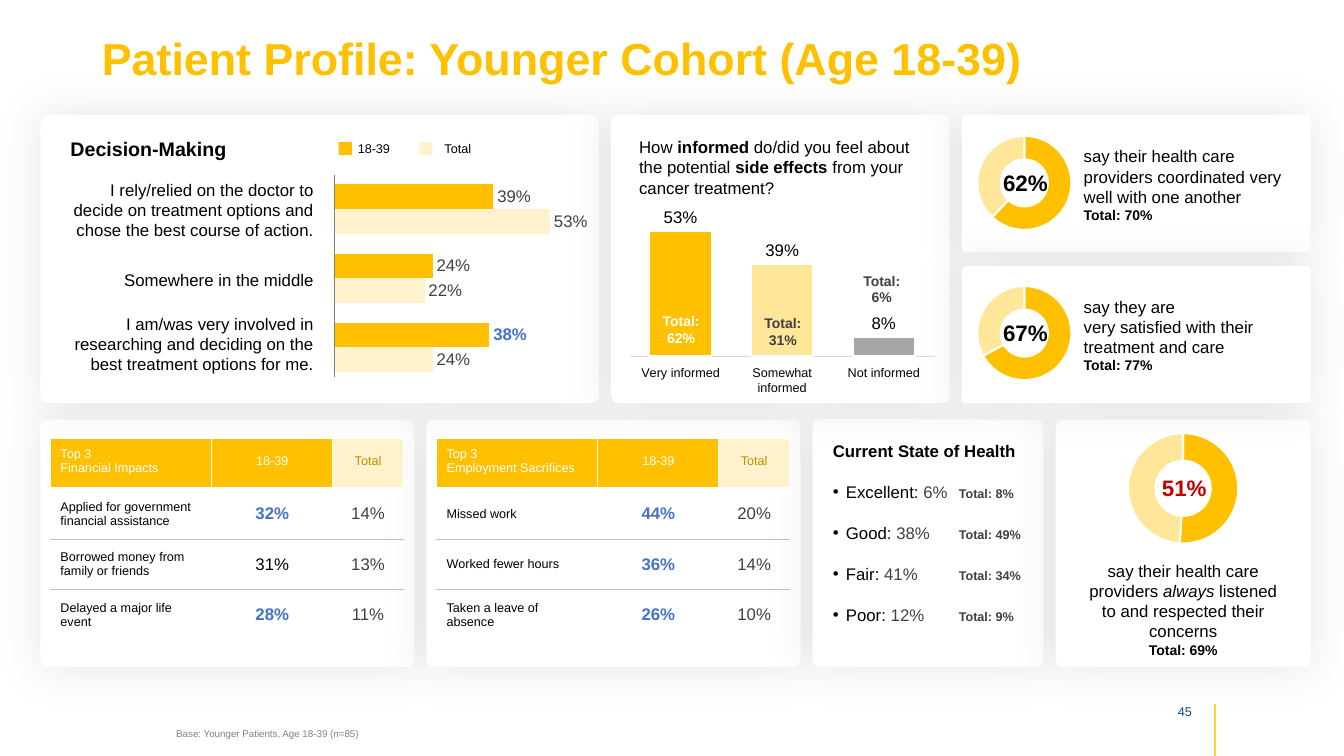
from pptx import Presentation
from pptx.chart.data import CategoryChartData
from pptx.dml.color import RGBColor
from pptx.enum.chart import XL_CHART_TYPE, XL_LABEL_POSITION, XL_TICK_LABEL_POSITION, XL_TICK_MARK
from pptx.enum.shapes import MSO_CONNECTOR, MSO_SHAPE
from pptx.enum.text import MSO_ANCHOR, MSO_AUTO_SIZE, PP_ALIGN
from pptx.oxml import parse_xml
from pptx.oxml.ns import nsdecls, qn
from pptx.util import Inches, Pt

LEFT, MID, RIGHT = PP_ALIGN.LEFT, PP_ALIGN.CENTER, PP_ALIGN.RIGHT
TOP, HALF = MSO_ANCHOR.TOP, MSO_ANCHOR.MIDDLE
FIXED = MSO_AUTO_SIZE.NONE
ROUND, RECT = MSO_SHAPE.ROUNDED_RECTANGLE, MSO_SHAPE.RECTANGLE
LINE = MSO_CONNECTOR.STRAIGHT
BAR, COLUMN, RING = XL_CHART_TYPE.BAR_CLUSTERED, XL_CHART_TYPE.COLUMN_CLUSTERED, XL_CHART_TYPE.DOUGHNUT
OUT, NO_TICK, LOW = XL_LABEL_POSITION.OUTSIDE_END, XL_TICK_MARK.NONE, XL_TICK_LABEL_POSITION.LOW
FONT = "Arial"
GOLD, SAND, CREAM = "FFC000", "FFE699", "FFF2CC"
BLACK, WHITE, DARK, BLUE, GREY = "000000", "FFFFFF", "404040", "4472C4", "808080"
CELL = 0.1
GAP = 1.2


def grid(*spans):
    return [Inches(round(span * CELL, 3)) for span in spans]


def tint(code):
    return RGBColor.from_string(code)


def style(font, size=12, color=BLACK, bold=False, ital=False):
    font.name, font.size, font.bold, font.italic = FONT, Pt(size), bold, ital
    font.color.rgb = tint(color)


def write(para, words, align=LEFT, space=None, lead=None, **look):
    para.alignment = align
    if space is not None:
        para.space_before = Pt(space)
    if lead:
        para.line_spacing = lead
    for part in [words] if isinstance(words, str) else words:
        part, extra = (part, {}) if isinstance(part, str) else part
        for turn, bit in enumerate(part.split("\n")):
            if turn:
                para.add_line_break()
            run = para.add_run()
            run.text = bit
            style(run.font, **{**look, **extra})


def label(slide, area, *paras, anchor=TOP, wrap=True, **look):
    frame = slide.shapes.add_textbox(*grid(*area)).text_frame
    frame.word_wrap, frame.vertical_anchor = wrap, anchor
    for turn, words in enumerate(paras):
        write(frame.add_paragraph() if turn else frame.paragraphs[0], words, **look)


def block(slide, kind, area, fill):
    shape = slide.shapes.add_shape(kind, *grid(*area))
    shape.shadow.inherit = False
    shape.fill.solid()
    shape.fill.fore_color.rgb = tint(fill)
    shape.line.fill.background()
    return shape


def card(slide, *area):
    shape = block(slide, ROUND, area, WHITE)
    shape.adjustments[0] = 0.03
    shape._element.spPr.find(qn("a:effectLst")).append(parse_xml(
        f'<a:outerShdw {nsdecls("a")} blurRad="{Pt(35)}" dist="0" algn="ctr" rotWithShape="0">'
        '<a:srgbClr val="000000"><a:alpha val="10000"/></a:srgbClr></a:outerShdw>'))


def rule(slide, x, top, end, color, width):
    line = slide.shapes.add_connector(LINE, *grid(x, top, x, end))
    line.line.color.rgb, line.line.width = tint(color), Pt(width)
    line._element.spPr.append(parse_xml(f'<a:effectLst {nsdecls("a")}/>'))


def edge(cell, sides):
    props = cell._tc.get_or_add_tcPr()
    for turn, (side, color, width) in enumerate(sides):
        props.insert(turn, parse_xml(
            f'<a:ln{side} {nsdecls("a")} w="{Pt(width)}"><a:solidFill>'
            f'<a:srgbClr val="{color}"/></a:solidFill></a:ln{side}>'))


def table(slide, x, topic, rows):
    grille = slide.shapes.add_table(4, 3, *grid(x, 43.5, 35, 20)).table
    grille.first_row = grille.horz_banding = False
    for col, width in zip(grille.columns, grid(16, 12, 7)):
        col.width = width
    thin, soft = (WHITE, 1), ("BFBFBF", 0.5)
    for r, row in enumerate([(f"Top 3\n{topic}", "18-39", "Total"), *rows]):
        for c, words in enumerate(row):
            cell = grille.cell(r, c)
            cell.vertical_anchor = HALF
            cell.margin_top, cell.margin_bottom = grid(0, 0 if r else 0.5)
            low = soft if r in (1, 2) else (WHITE, 1 if r else 3)
            edge(cell, [("L", *thin), ("R", *thin), ("T", *(soft if r > 1 else thin)), ("B", *low)])
            if r:
                cell.fill.background()
                bold = c == 1 and words != "31%"
                color = BLUE if bold else DARK if c == 2 else BLACK
            else:
                cell.fill.solid()
                cell.fill.fore_color.rgb = tint(CREAM if c == 2 else GOLD)
                bold, color = False, "BF9000" if c == 2 else WHITE
            write(cell.text_frame.paragraphs[0], words, align=MID if c else LEFT,
                  size=12 if r and c else 9, color=color, bold=bold)


def graph(slide, kind, area, names, rows, form):
    data = CategoryChartData(number_format=form)
    data.categories = names
    for turn, row in enumerate(rows, 1):
        data.add_series(f"Series {turn}", row)
    chart = slide.shapes.add_chart(kind, *grid(*area), data).chart
    chart.has_legend = chart.has_title = False
    style(chart.font, 10)
    chart.plots[0].vary_by_categories = False
    return chart


def paint(part, color, width=None):
    part.format.fill.solid()
    part.format.fill.fore_color.rgb = tint(color)
    if width:
        part.format.line.color.rgb, part.format.line.width = tint(WHITE), Pt(width)


def bars(slide, kind, area, names, rows, colors, gap, lap, ink, shares):
    chart = graph(slide, kind, area, names, rows, "0%")
    plot, scale = chart.plots[0], chart.value_axis
    plot.gap_width, plot.overlap = gap, lap
    scale.minimum_scale, scale.maximum_scale = 0, 0.6
    scale.has_major_gridlines = scale.visible = False
    for row, color in zip(plot.series, colors):
        paint(row, color)
        row.invert_if_negative = False
        marks = row.data_labels
        marks.show_value, marks.position = True, OUT
        marks.number_format, marks.number_format_is_linked = "0%", False
        style(marks.font, 12, ink)
    zone = chart._chartSpace.chart.plotArea
    for old in zone.findall(qn("c:layout")):
        zone.remove(old)
    spots = "".join(f'<c:{key} val="{share}"/>' for key, share in zip("xywh", shares))
    zone.insert(0, parse_xml(
        f'<c:layout {nsdecls("c")}><c:manualLayout><c:layoutTarget val="inner"/>'
        f'<c:xMode val="edge"/><c:yMode val="edge"/>{spots}</c:manualLayout></c:layout>'))
    return chart


def ring(slide, area, value, color=BLACK):
    x, y, w, h = area
    chart = graph(slide, RING, area, ["1", "2"], [(value, 100 - value)], "General")
    chart.plots[0]._element.find(qn("c:holeSize")).set("val", "75")
    for turn, fill in enumerate((GOLD, SAND)):
        paint(chart.plots[0].series[0].points[turn], fill, 1.5)
    label(slide, (x + w / 2 - 5, y + h / 2 - 2.1, 10.2, 4.4), f"{value}%",
          anchor=HALF, align=MID, lead=0.9, size=16, color=color, bold=True)


def health(slide, body):
    slide.shapes._spTree.append(body._element)
    body.left, body.top, body.width, body.height = grid(81.6, 43.2, 22.1, 22.1)
    frame = body.text_frame
    frame.auto_size = FIXED
    head = frame.paragraphs[0]
    props = head._p.get_or_add_pPr()
    props.set("marL", "0")
    props.set("indent", "0")
    props.append(parse_xml(f'<a:buNone {nsdecls("a")}/>'))
    write(head, "Current State of Health", space=0, bold=True)
    for state, now, total in (("Excellent", 6, 8), ("Good", 38, 49), ("Fair", 41, 34), ("Poor", 12, 9)):
        para = frame.add_paragraph()
        props = para._p.get_or_add_pPr()
        props.set("marL", str(Inches(0.13)))
        props.set("indent", str(-Inches(0.13)))
        for xml in (f'<a:buFont {nsdecls("a")} typeface="{FONT}"/>', f'<a:buChar {nsdecls("a")} char="•"/>',
                    f'<a:tabLst {nsdecls("a")}><a:tab pos="{Inches(1.25)}" algn="l"/></a:tabLst>'):
            props.append(parse_xml(xml))
        write(para, [f"{state}: ", (f"{now}%", {"color": DARK}),
                     (f"\tTotal: {total}%", {"size": 9, "color": DARK, "bold": True})], space=15)


def choice(slide):
    chart = bars(slide, BAR, (5.8, 12.8, 56.3, 29.9), "123", [(0.39, 0.24, 0.38), (0.53, 0.22, 0.24)],
                 (GOLD, CREAM), 80, 0, DARK, (0.488, 0.151, 0.428, 0.689))
    chart.category_axis.reverse_order, chart.category_axis.visible = True, False
    mark = chart.plots[0].series[0].points[2].data_label
    style(mark.font, 12, BLUE, True)
    mark.position = OUT
    label(slide, (6, 13.1, 21.9, 3.4), "Decision-Making", size=14, bold=True)
    for y, h, words in (
            (17.3, 7.1, "I rely/relied on the doctor to decide on treatment options and chose the best course of action."),
            (26.3, 3, "Somewhere in the middle"),
            (30.6, 7.1, "I am/was very involved in researching and deciding on the best treatment options for me.")):
        label(slide, (5.3, y, 26.8, h), words, align=RIGHT)
    for x, start, color, words in ((33.6, 34.5, GOLD, "18-39"), (41.6, 43.1, CREAM, "Total")):
        block(slide, RECT, (x, 14.1, 1.3, 1.3), color)
        label(slide, (start, 13.5, 5.2, 2.5), words, wrap=False, size=9)
    rule(slide, 33.2, 17.4, 37.4, GREY, 0.5)


def effects(slide):
    strong = {"bold": True}
    label(slide, (62.4, 13.1, 29.1, 7.1),
          ["How ", ("informed ", strong), "do/did you feel about the potential ",
           ("side effects ", strong), "from your cancer treatment?"])
    chart = bars(slide, COLUMN, (61.5, 9.8, 33.3, 29.9), ["Very informed", "Somewhat informed", "Not informed"],
                 [(0.53, 0.39, 0.08)], (BLUE,), 63, -25, BLACK, (0.029, 0.382, 0.908, 0.472))
    for turn, color in enumerate((GOLD, SAND, "A6A6A6")):
        paint(chart.plots[0].series[0].points[turn], color, 1.5)
    axis = chart.category_axis
    axis.major_tick_mark, axis.tick_label_position = NO_TICK, LOW
    axis.format.line.color.rgb, axis.format.line.width = tint("D9D9D9"), Pt(0.75)
    style(axis.tick_labels.font, 9)
    for x, y, share, color in ((64.5, 30.5, 62, WHITE), (74.6, 30.7, 31, DARK), (84.4, 26.5, 6, DARK)):
        label(slide, (x, y, 6.1, 4.4), f"Total: {share}%", align=MID, size=10, color=color, bold=True)


def main():
    deck = Presentation()
    deck.slide_width, deck.slide_height = Inches(13.33), Inches(7.5)
    slide = deck.slides.add_slide(deck.slide_layouts[1])
    title, body = slide.placeholders
    title.left, title.top, title.width, title.height = grid(9.1, 2.3, 123.9, 7.6)
    title.text_frame.auto_size, title.text_frame.vertical_anchor = FIXED, HALF
    write(title.text_frame.paragraphs[0], "Patient Profile: Younger Cohort (Age 18-39)",
          lead=0.9, size=32, color=GOLD, bold=True)
    for y, h, widths in ((41.6, 24.6, (37.1, 37.1, 22.9, 25.3)), (11.4, 28.6, (55.4, 33.6))):
        x = 4
        for w in widths:
            card(slide, x, y, w, h)
            x += w + GAP
    for y in (11.4, 26.4):
        card(slide, 95.4, y, 34.6, 13.6)
    choice(slide)
    effects(slide)
    small = {"size": 10, "bold": True}
    for y, share, words, total in (
            (12.1, 62, "say their health care providers coordinated very well with one another", 70),
            (27, 67, "say they are\nvery satisfied with their treatment and care", 77)):
        ring(slide, (92.5, y, 18.2, 12.1), share)
        label(slide, (106.5, y + 1.9, 21.9, 8.8), words, [(f"Total: {total}%", small)])
    ring(slide, (107.3, 41.6, 20.1, 13.7), 51, "C00000")
    label(slide, (106.4, 55.1, 21.9, 10.8),
          ["say their health care providers ", ("always ", {"ital": True}),
           "listened to and respected their concerns"], [("Total: 69%", small)], align=MID)
    table(slide, 5, "Financial Impacts", [
        ("Applied for government financial assistance", "32%", "14%"),
        ("Borrowed money from family or friends", "31%", "13%"),
        ("Delayed a major life event", "28%", "11%")])
    table(slide, 43.3, "Employment Sacrifices", [
        ("Missed work", "44%", "20%"), ("Worked fewer hours", "36%", "14%"),
        ("Taken a leave of absence", "26%", "10%")])
    health(slide, body)
    label(slide, (16.5, 71.7, 34, 2.2), "Base: Younger Patients, Age 18-39 (n=85)", size=7, color=GREY)
    label(slide, (113.3, 69.3, 5.9, 2.5), "45", align=RIGHT, size=9, color="174781")
    rule(slide, 120.5, 69.8, 75, "FFD334", 1.5)
    deck.save("out.pptx")


if __name__ == "__main__":
    main()
